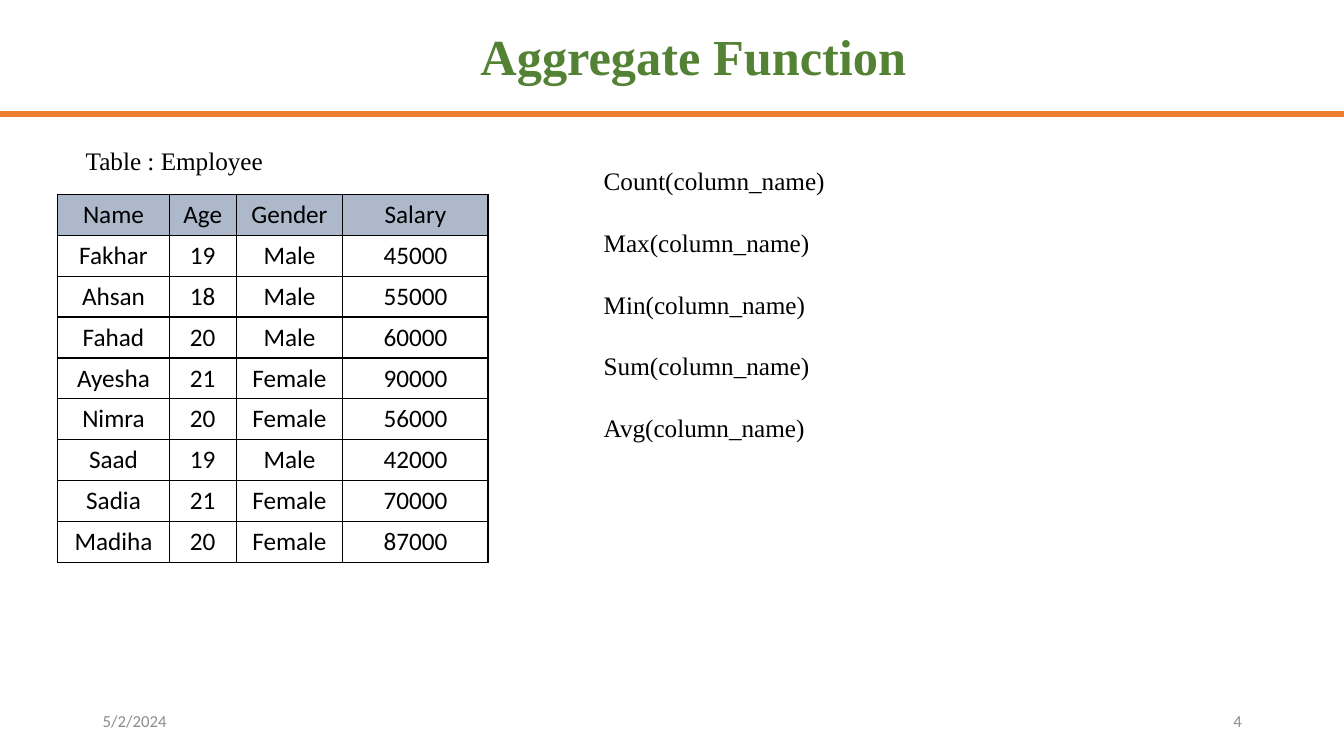
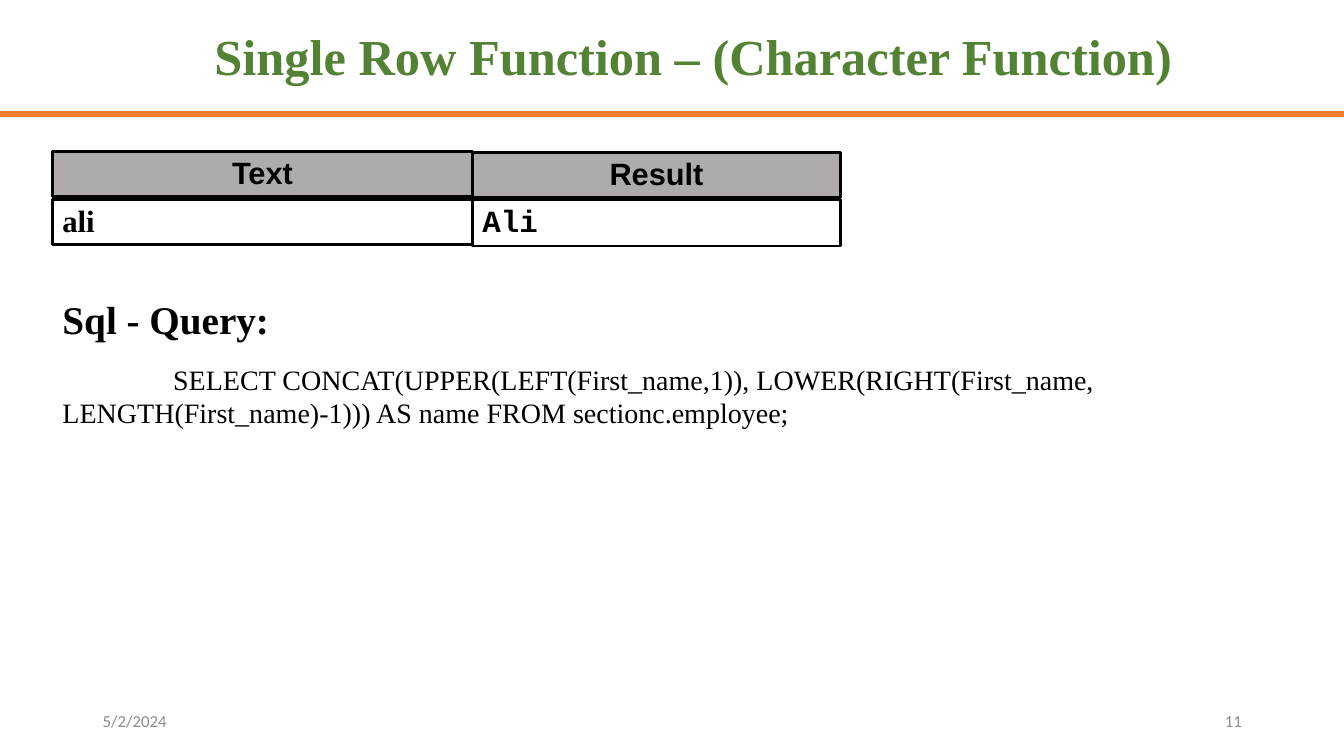
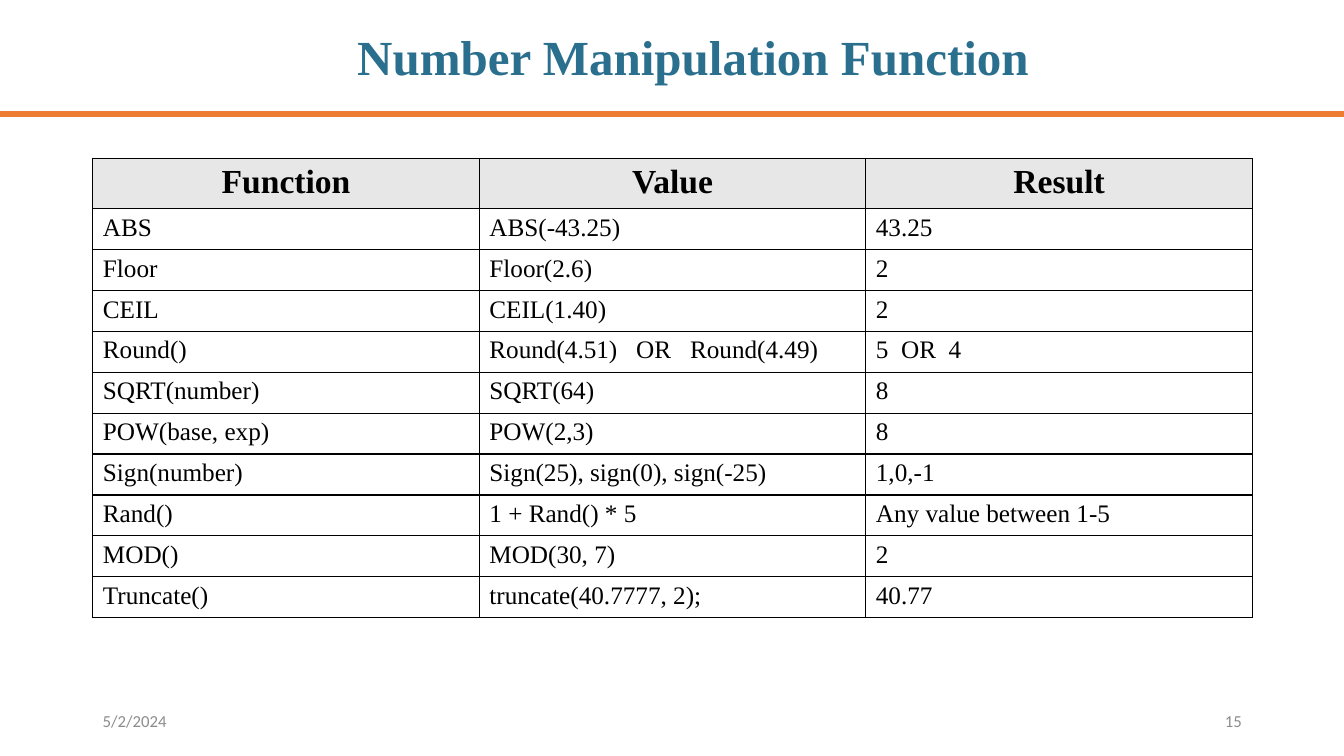
from dataclasses import dataclass

import lxml.etree
import pptx
import pptx.dml.color
import pptx.enum.shapes
import pptx.enum.text
import pptx.oxml.ns
import pptx.presentation
import pptx.shapes.base
import pptx.slide
import pptx.table
import pptx.text.text
import pptx.util

Cm = pptx.util.Cm
Pt = pptx.util.Pt
RGBColor = pptx.dml.color.RGBColor
Align = pptx.enum.text.PP_ALIGN
Anchor = pptx.enum.text.MSO_ANCHOR
Slide = pptx.slide.Slide
qn = pptx.oxml.ns.qn

BLACK = RGBColor(0x00, 0x00, 0x00)
GREEN = RGBColor(0x54, 0x82, 0x35)
TEAL = RGBColor(0x2A, 0x6F, 0x8E)
ORANGE = RGBColor(0xED, 0x7D, 0x31)
GREY = RGBColor(0x8C, 0x8C, 0x8C)
STEEL = RGBColor(0xAD, 0xB9, 0xCA)
STONE = RGBColor(0xAF, 0xAB, 0xAB)
PALE = RGBColor(0xE7, 0xE7, 0xE7)

SERIF = "Times New Roman"
SANS = "Calibri"
WIDTH = Cm(33.87)
TEXT_ONLY, TITLE_ONLY = 1, 5
DATE = "5/2/2024"


@dataclass(frozen=True)
class Box:
    left: float
    top: float
    width: float
    height: float

    def place(self, shape: pptx.shapes.base.BaseShape) -> None:
        shape.left, shape.top, shape.width, shape.height = self.lengths()

    def lengths(self) -> tuple[Cm, Cm, Cm, Cm]:
        return Cm(self.left), Cm(self.top), Cm(self.width), Cm(self.height)


@dataclass(frozen=True)
class Style:
    size: float = 18
    font: str = SERIF
    color: RGBColor = BLACK
    bold: bool = False
    align: Align = Align.LEFT


@dataclass(frozen=True)
class Grid:
    left: float
    top: float
    cols: list[float]
    head_height: float
    row_height: float
    fill: RGBColor
    head: Style
    body: Style
    rows: list[list[str]]


@dataclass(frozen=True)
class Panel:
    box: Box
    text: str
    style: Style
    fill: RGBColor | None = None


STAFF = Grid(
    1.45, 4.9, [2.82, 1.68, 2.69, 3.66], 1.03, 1.03, STEEL,
    Style(font=SANS, align=Align.CENTER),
    Style(font=SANS, align=Align.CENTER),
    [
        ["Name", "Age", "Gender", "Salary"],
        ["Fakhar", "19", "Male", "45000"],
        ["Ahsan", "18", "Male", "55000"],
        ["Fahad", "20", "Male", "60000"],
        ["Ayesha", "21", "Female", "90000"],
        ["Nimra", "20", "Female", "56000"],
        ["Saad", "19", "Male", "42000"],
        ["Sadia", "21", "Female", "70000"],
        ["Madiha", "20", "Female", "87000"],
    ],
)

NUMBERS = Grid(
    2.34, 3.99, [9.74] * 3, 1.18, 1.03, PALE,
    Style(24, bold=True, align=Align.CENTER), Style(),
    [
        ["Function", "Value", "Result"],
        ["ABS", "ABS(-43.25)", "43.25"],
        ["Floor", "Floor(2.6)", "2"],
        ["CEIL", "CEIL(1.40)", "2"],
        ["Round()", "Round(4.51)   OR   Round(4.49)", "5  OR  4"],
        ["SQRT(number)", "SQRT(64)", "8"],
        ["POW(base, exp)", "POW(2,3)", "8"],
        ["Sign(number)", "Sign(25), sign(0), sign(-25)", "1,0,-1"],
        ["Rand()", "1 + Rand() * 5", "Any value between 1-5"],
        ["MOD()", "MOD(30, 7)", "2"],
        ["Truncate()", "truncate(40.7777, 2);", "40.77"],
    ],
)

HEAD = Style(22, "Arial", bold=True, align=Align.CENTER)
PANELS = [
    Panel(Box(1.32, 3.81, 10.59, 1.14), "Text", HEAD, STONE),
    Panel(Box(11.91, 3.84, 9.27, 1.14), "Result", HEAD, STONE),
    Panel(Box(1.32, 5.03, 10.59, 1.14), "ali", Style(22, bold=True)),
    Panel(Box(11.91, 5.03, 9.27, 1.17), "Ali", Style(22, "Courier New", bold=True)),
]

QUERY = ("SELECT CONCAT(UPPER(LEFT(First_name,1)), LOWER(RIGHT(First_name, "
         "LENGTH(First_name)-1))) AS name FROM sectionc.employee;")


def write(para: pptx.text.text._Paragraph, text: str, style: Style) -> None:
    para.alignment = style.align
    run = para.add_run()
    run.text = text
    font = run.font
    font.size, font.name, font.bold = Pt(style.size), style.font, style.bold
    font.color.rgb = style.color


def add_label(slide: Slide, box: Box, text: str, style: Style, anchor: Anchor) -> None:
    frame = slide.shapes.add_textbox(*box.lengths()).text_frame
    frame.word_wrap = True
    frame.vertical_anchor = anchor
    write(frame.paragraphs[0], text, style)


def add_band(slide: Slide) -> None:
    band = slide.shapes.add_connector(
        pptx.enum.shapes.MSO_CONNECTOR.STRAIGHT, Cm(0), Cm(2.87), WIDTH, Cm(2.87))
    band.line.color.rgb = ORANGE
    band.line.width = Pt(4.5)
    lxml.etree.SubElement(band._element.spPr, qn("a:effectLst"))


def add_slide(deck: pptx.presentation.Presentation, layout: int, title: str,
              number: int, style: Style) -> Slide:
    """Add a slide with the shared title, band, date and number."""
    slide = deck.slides.add_slide(deck.slide_layouts[layout])
    add_band(slide)
    foot = Style(12, SANS, GREY)
    right = Style(12, SANS, GREY, align=Align.RIGHT)
    add_label(slide, Box(2.34, 17.65, 7.62, 1.02), DATE, foot, Anchor.MIDDLE)
    add_label(slide, Box(23.93, 17.65, 7.62, 1.02), str(number), right, Anchor.MIDDLE)
    head = slide.shapes.title
    Box(2.87, 0.38, 29.21, 2.24).place(head)
    frame = head.text_frame
    frame.auto_size = pptx.enum.text.MSO_AUTO_SIZE.NONE
    frame.vertical_anchor = Anchor.MIDDLE
    frame.paragraphs[0].line_spacing = 0.9
    write(frame.paragraphs[0], title, style)
    return slide


def open_body(slide: Slide, box: Box) -> pptx.text.text.TextFrame:
    body = slide.placeholders[1]
    box.place(body)
    body.text_frame.auto_size = pptx.enum.text.MSO_AUTO_SIZE.NONE
    return body.text_frame


def add_para(frame: pptx.text.text.TextFrame, text: str, style: Style, before: float,
             spacing: float = 1.0, indent: float = 0) -> None:
    """Write an unbulleted paragraph, using the empty first one if it is free."""
    first = frame.paragraphs[0]
    para = frame.add_paragraph() if first.runs else first
    para.space_before = Pt(before)
    para.line_spacing = spacing
    props = para._p.get_or_add_pPr()
    props.set("marL", "0")
    props.set("indent", str(int(Cm(indent))))
    lxml.etree.SubElement(props, qn("a:buNone"))
    write(para, text, style)


def add_edges(cell: pptx.table._Cell) -> None:
    props = cell._tc.get_or_add_tcPr()
    for side in ("lnL", "lnR", "lnT", "lnB"):
        edge = lxml.etree.SubElement(props, qn(f"a:{side}"), w=str(int(Pt(1))))
        fill = lxml.etree.SubElement(edge, qn("a:solidFill"))
        lxml.etree.SubElement(fill, qn("a:srgbClr"), val=str(BLACK))


def add_grid(slide: Slide, grid: Grid) -> None:
    count = len(grid.rows)
    height = grid.head_height + grid.row_height * (count - 1)
    box = Box(grid.left, grid.top, sum(grid.cols), height)
    table = slide.shapes.add_table(count, len(grid.cols), *box.lengths()).table
    table.first_row = table.horz_banding = False
    for col, width in zip(table.columns, grid.cols):
        col.width = Cm(width)
    for r, texts in enumerate(grid.rows):
        is_head = r == 0
        table.rows[r].height = Cm(grid.head_height if is_head else grid.row_height)
        for c, text in enumerate(texts):
            cell = table.cell(r, c)
            add_edges(cell)
            if is_head:
                cell.fill.solid()
                cell.fill.fore_color.rgb = grid.fill
            else:
                cell.fill.background()
            write(cell.text_frame.paragraphs[0], text, grid.head if is_head else grid.body)


def add_panel(slide: Slide, panel: Panel) -> None:
    shape = slide.shapes.add_shape(
        pptx.enum.shapes.MSO_SHAPE.RECTANGLE, *panel.box.lengths())
    shape.shadow.inherit = False
    shape.line.color.rgb = BLACK
    shape.line.width = Pt(2)
    if panel.fill is None:
        shape.fill.background()
    else:
        shape.fill.solid()
        shape.fill.fore_color.rgb = panel.fill
    frame = shape.text_frame
    frame.word_wrap = True
    frame.vertical_anchor = Anchor.TOP
    frame.paragraphs[0].line_spacing = 0.95
    write(frame.paragraphs[0], panel.text, panel.style)


def main() -> None:
    deck = pptx.Presentation()
    deck.slide_width, deck.slide_height = WIDTH, Cm(19.05)
    green = Style(36, color=GREEN, bold=True, align=Align.CENTER)
    teal = Style(35, color=TEAL, bold=True, align=Align.CENTER)

    slide = add_slide(deck, TEXT_ONLY, "Aggregate Function", 4, green)
    add_grid(slide, STAFF)
    add_label(slide, Box(1.91, 3.53, 5.03, 1.02), "Table : Employee", Style(), Anchor.TOP)
    frame = open_body(slide, Box(14.96, 4.04, 14.2, 7.95))
    for i, name in enumerate(("Count", "Max", "Min", "Sum", "Avg")):
        add_para(frame, f"{name}(column_name)", Style(), 22.5 if i else 0)

    slide = add_slide(deck, TEXT_ONLY, "Single Row Function – (Character Function)", 11, green)
    for panel in PANELS:
        add_panel(slide, panel)
    frame = open_body(slide, Box(1.32, 7.44, 29.21, 8.92))
    add_para(frame, "Sql - Query:", Style(28, bold=True), 10, spacing=0.9)
    add_para(frame, QUERY, Style(20), 14, indent=2.79)

    slide = add_slide(deck, TITLE_ONLY, "Number Manipulation Function", 15, teal)
    add_grid(slide, NUMBERS)

    deck.save("out.pptx")


if __name__ == "__main__":
    main()
